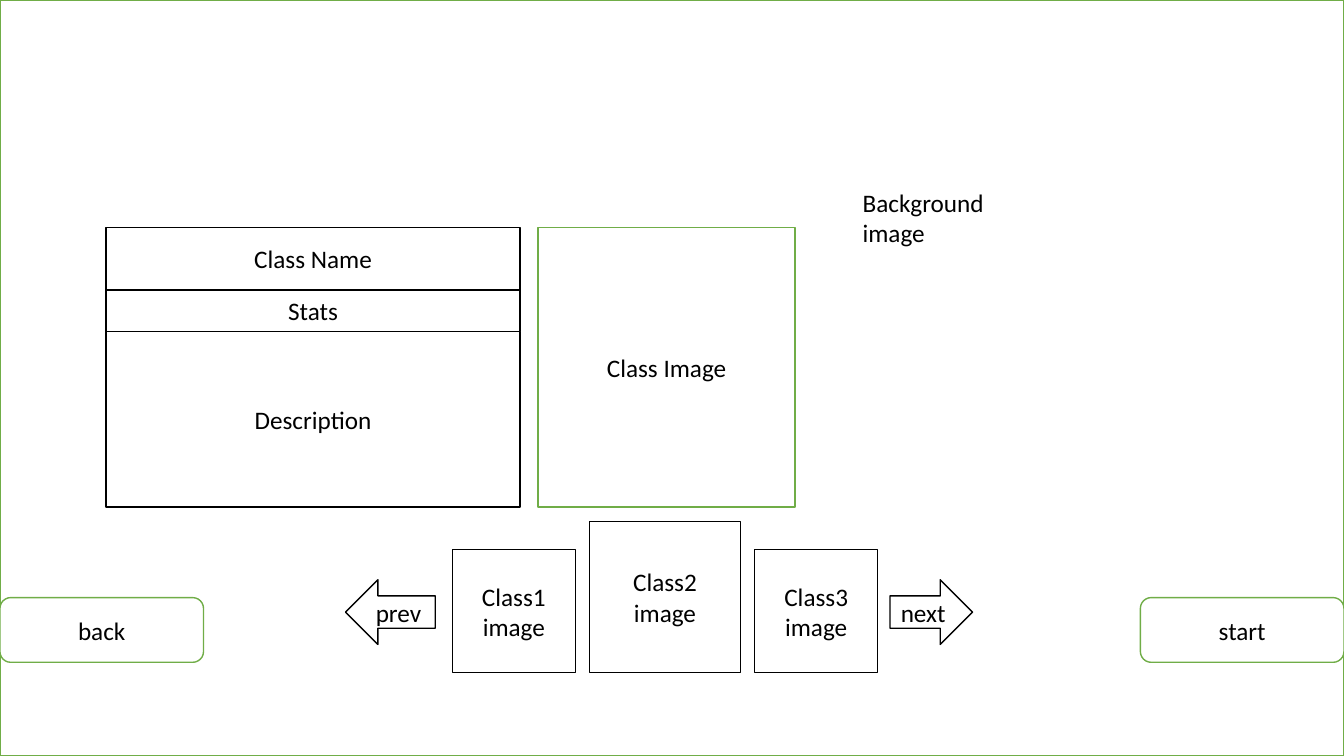
import pptx
import pptx.dml.color
import pptx.enum.shapes
import pptx.enum.text
import pptx.util

Cm = pptx.util.Cm
SHAPE = pptx.enum.shapes.MSO_SHAPE
ALIGN = pptx.enum.text.PP_ALIGN
WIDTH, HEIGHT = 33.87, 19.05
BLACK, GREEN, WHITE = "000000", "70AD47", "FFFFFF"


def colour(hex_string):
    return pptx.dml.color.RGBColor.from_string(hex_string)


def write_lines(frame, lines, align):
    frame.word_wrap = True
    for index, line in enumerate(lines):
        para = frame.paragraphs[0] if index == 0 else frame.add_paragraph()
        para.text = line
        para.alignment = align
        para.font.name = "Calibri"
        para.font.size = pptx.util.Pt(18)
        para.font.color.rgb = colour(BLACK)


def add_panel(page, box, lines=(), line_colour=BLACK, kind=SHAPE.RECTANGLE):
    """Draw a white outlined shape; box is left, top, width, height in cm."""
    panel = page.shapes.add_shape(kind, *map(Cm, box))
    panel.shadow.inherit = False
    panel.fill.solid()
    panel.fill.fore_color.rgb = colour(WHITE)
    panel.line.color.rgb = colour(line_colour)
    panel.line.width = pptx.util.Pt(1)
    panel.text_frame.vertical_anchor = pptx.enum.text.MSO_ANCHOR.MIDDLE
    write_lines(panel.text_frame, lines, ALIGN.CENTER)


def add_background(page, box):
    add_panel(page, box, line_colour=GREEN)


def add_background_label(page, box):
    label = page.shapes.add_textbox(*map(Cm, box))
    write_lines(label.text_frame, ["Background image"], ALIGN.LEFT)


def add_class_details(page, box):
    left, top, width, height = box
    name_height, stats_height = 1.57, 1.04
    rows = [
        ("Class Name", name_height),
        ("Stats", stats_height),
        ("Description", height - name_height - stats_height),
    ]
    for text, row_height in rows:
        add_panel(page, (left, top, width, row_height), [text])
        top += row_height


def add_class_picker(page, box):
    """Place three bottom-aligned class tiles between two arrows."""
    left, top, width, height = box
    middle, bottom, pitch = left + 8.05, top + height, 3.81
    for number, size in enumerate((3.1, height, 3.1), start=1):
        tile_left = middle + (number - 2) * pitch - size / 2
        add_panel(page, (tile_left, bottom - size, size, size),
                  [f"Class{number}", "image"])

    arrow_top, arrow_height = top + 1.47, 1.63
    prev_width, next_width = 2.26, 2.08
    add_panel(page, (left, arrow_top, prev_width, arrow_height),
              ["prev"], kind=SHAPE.LEFT_ARROW)
    add_panel(page, (left + width - next_width, arrow_top, next_width, arrow_height),
              ["next"], kind=SHAPE.RIGHT_ARROW)


def add_navigation(page, box):
    left, top, width, height = box
    button_width = 5.13
    for text, button_left in (("back", left), ("start", left + width - button_width)):
        add_panel(page, (button_left, top, button_width, height),
                  [text], GREEN, SHAPE.ROUNDED_RECTANGLE)


def main():
    deck = pptx.Presentation()
    deck.slide_width, deck.slide_height = Cm(WIDTH), Cm(HEIGHT)
    page = deck.slides.add_slide(deck.slide_layouts[6])

    add_background(page, (0, 0, WIDTH, HEIGHT))
    add_class_details(page, (2.67, 5.74, 10.44, 7.04))
    add_class_picker(page, (8.71, 13.14, 15.8, 3.81))
    add_navigation(page, (0, 15.06, WIDTH, 1.63))
    add_background_label(page, (21.49, 4.6, 3.99, 1.8))
    add_panel(page, (13.56, 5.74, 6.48, 7.04), ["Class Image"], GREEN)

    deck.save("out.pptx")


if __name__ == "__main__":
    main()
